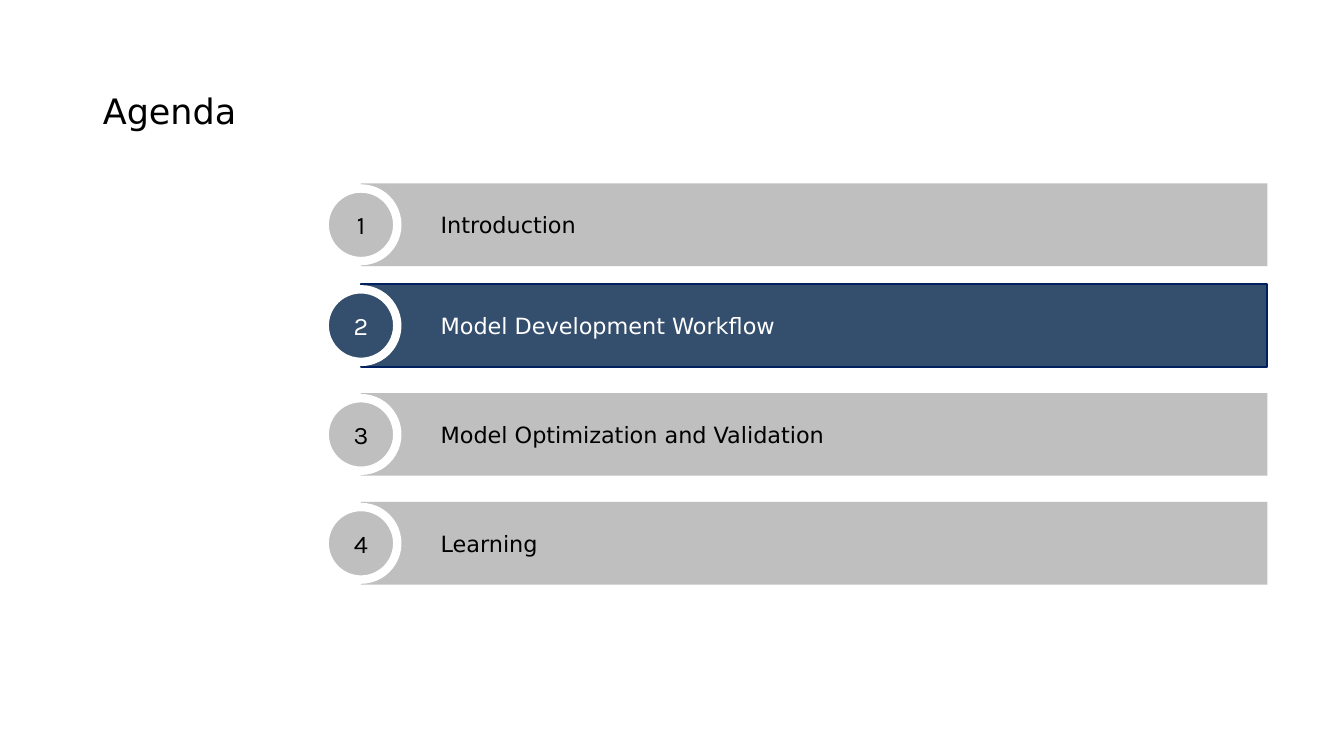
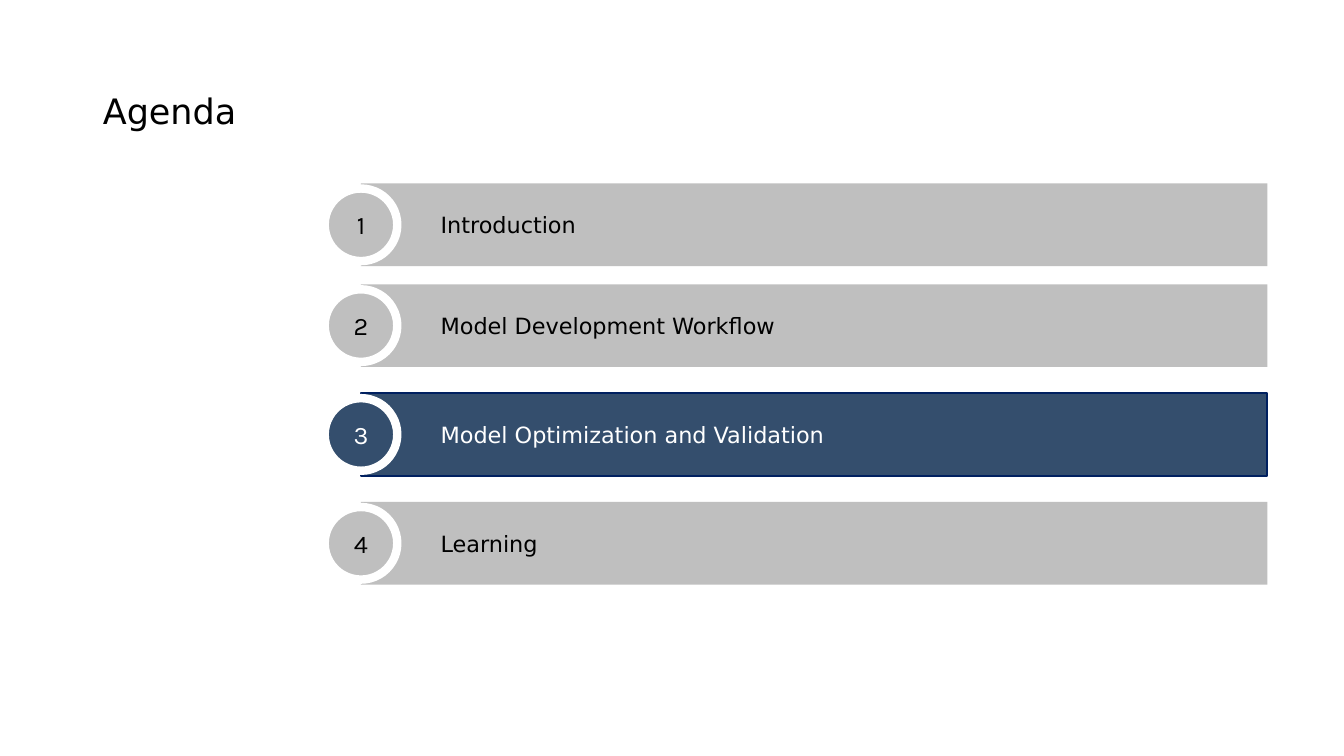
from pptx import Presentation
from pptx.dml.color import RGBColor
from pptx.enum.shapes import MSO_SHAPE
from pptx.enum.text import MSO_ANCHOR, MSO_AUTO_SIZE, PP_ALIGN
from pptx.util import Inches, Pt

COLORS = {
    "black": "000000",
    "white": "FFFFFF",
    "gray": "BFBFBF",
    "blue": "344E6D",
    "navy": "002060",
}
TEXT_FONT = "DejaVu Sans"
NUMBER_FONT = "Karla"

TOPICS = [
    ("Introduction", 1.82),
    ("Model Development Workflow", 2.82),
    ("Model Optimization and Validation", 3.9),
    ("Learning", 4.98),
]
BAR_LEFT, BAR_WIDTH, BAR_HEIGHT = 3.58, 8.99, 0.82
CIRCLE_SIZE = 0.72


def color(name):
    return RGBColor.from_string(COLORS[name])


def write(frame, text, size=16, font=TEXT_FONT, ink="black",
          align=PP_ALIGN.LEFT, spacing=1.0, left_inset=0.1):
    frame.word_wrap = True
    frame.auto_size = MSO_AUTO_SIZE.NONE
    frame.vertical_anchor = MSO_ANCHOR.MIDDLE
    frame.margin_left = Inches(left_inset)
    frame.margin_right = Inches(0.1)
    frame.margin_top = frame.margin_bottom = Inches(0.05)
    para = frame.paragraphs[0]
    para.alignment = align
    para.line_spacing = spacing
    span = para.add_run()
    span.text = text
    span.font.size = Pt(size)
    span.font.name = font
    span.font.color.rgb = color(ink)


class AgendaDeck:
    def __init__(self):
        self.deck = Presentation()
        self.deck.slide_width = Inches(13.33)
        self.deck.slide_height = Inches(7.5)
        self.page = None

    def add_page(self, title):
        self.page = self.deck.slides.add_slide(self.deck.slide_layouts[5])
        box = self.page.shapes.title
        box.left, box.top = Inches(0.92), Inches(0.4)
        box.width, box.height = Inches(11.5), Inches(1.45)
        write(box.text_frame, title, size=25, spacing=0.9)

    def shape(self, kind, left, top, width, height, fill, line=None, weight=0):
        box = self.page.shapes.add_shape(
            kind, Inches(left), Inches(top), Inches(width), Inches(height))
        box.shadow.inherit = False
        box.fill.solid()
        box.fill.fore_color.rgb = color(fill)
        if line:
            box.line.color.rgb = color(line)
            box.line.width = Pt(weight)
        else:
            box.line.fill.background()
        return box

    def bar(self, text, top, active):
        box = self.shape(MSO_SHAPE.RECTANGLE, BAR_LEFT, top, BAR_WIDTH, BAR_HEIGHT,
                         "blue" if active else "gray",
                         "navy" if active else None, 1.5)
        write(box.text_frame, text, ink="white" if active else "black",
              left_inset=0.79)

    def number(self, value, bar_top, active):
        box = self.shape(MSO_SHAPE.OVAL, BAR_LEFT - CIRCLE_SIZE / 2,
                         bar_top + (BAR_HEIGHT - CIRCLE_SIZE) / 2,
                         CIRCLE_SIZE, CIRCLE_SIZE,
                         "blue" if active else "gray", "white", 6)
        write(box.text_frame, str(value), size=18, font=NUMBER_FONT,
              ink="white" if active else "black", align=PP_ALIGN.CENTER)

    def agenda(self, current):
        self.add_page("Agenda")
        for value, (topic, top) in enumerate(TOPICS, start=1):
            self.bar(topic, top, value == current)
            self.number(value, top, value == current)


def main():
    agenda_deck = AgendaDeck()
    for current in (2, 3):
        agenda_deck.agenda(current)
    agenda_deck.deck.save("out.pptx")


if __name__ == "__main__":
    main()
